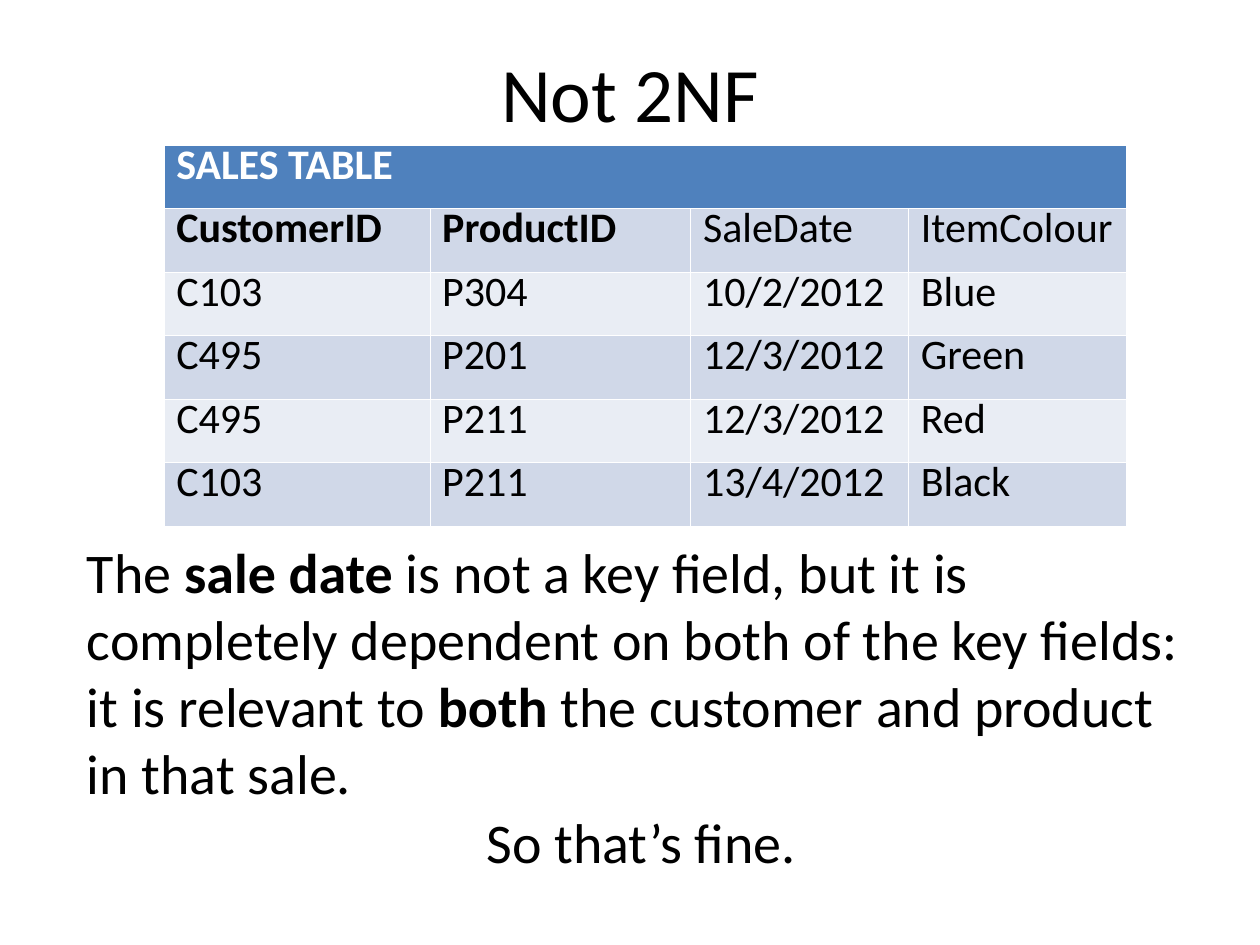
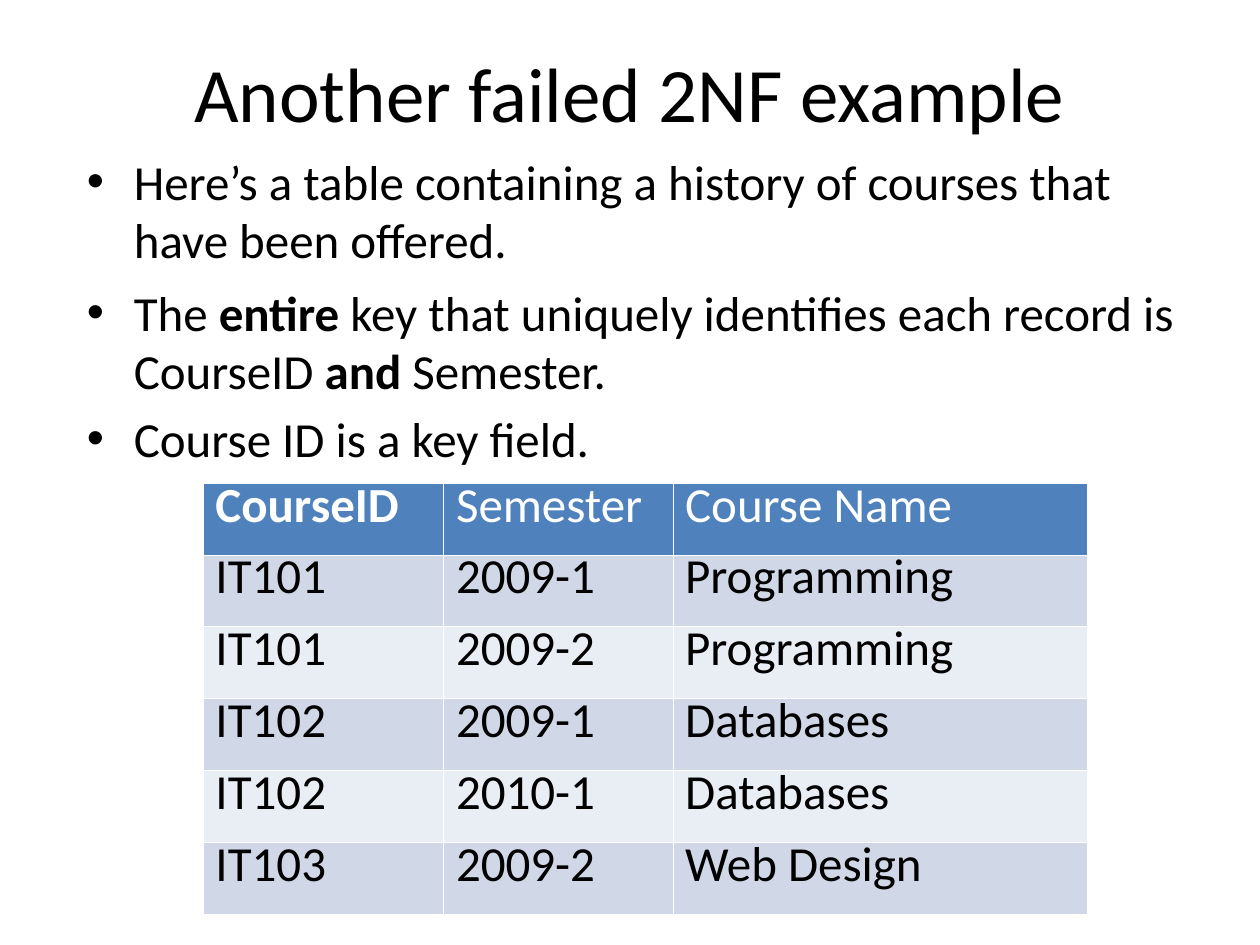
from lxml import etree
from pptx import Presentation
from pptx import util as u
from pptx.dml.color import RGBColor
from pptx.enum import text
from pptx.oxml import ns

FONT = "Calibri"
BLACK, WHITE = "000000", "FFFFFF"
HEADER_BLUE, BAND_DARK, BAND_LIGHT = "4F81BD", "D0D8E8", "E9EDF4"
TITLE_ONLY = 5
BODY_LEFT, CONTENT_TOP, CONTENT_WIDTH = 1.5, 2.92, 22.86
RULE_WIDTH = u.Pt(0.11)

SALES = [
    ["**SALES TABLE**"],
    ["**CustomerID**", "**ProductID**", "SaleDate", "ItemColour"],
    ["C103", "P304", "10/2/2012", "Blue"],
    ["C495", "P201", "12/3/2012", "Green"],
    ["C495", "P211", "12/3/2012", "Red"],
    ["C103", "P211", "13/4/2012", "Black"],
]
SALE_DATE_NOTE = (
    "The **sale date **is not a key field, but it is completely dependent on both "
    "of the key fields: it is relevant to **both** the customer and product in that sale."
)
COURSES = [
    ["**CourseID**", "Semester", "Course Name"],
    ["IT101", "2009-1", "Programming"],
    ["IT101", "2009-2", "Programming"],
    ["IT102", "2009-1", "Databases"],
    ["IT102", "2010-1", "Databases"],
    ["IT103", "2009-2", "Web Design"],
]
COURSE_POINTS = [
    ("Here’s a table containing a history of courses that have been offered.", 7.3),
    ("The **entire** key that uniquely identifies each record is "
     "CourseID **and** Semester.", 7.3),
    ("Course ID is a key field.", 4.8),
]


def color(hex_string):
    return RGBColor.from_string(hex_string)


def box(left, top, width, height):
    return [u.Cm(length) for length in (left, top, width, height)]


def write(paragraph, marked, size, ink=BLACK, before=0.3):
    paragraph.space_before, paragraph.space_after = u.Pt(before), u.Pt(0.3)
    for position, part in enumerate(marked.split("**")):
        if part:
            run = paragraph.add_run()
            run.text = part
            run.font.name = FONT
            run.font.size = u.Pt(size)
            run.font.bold = position % 2 == 1
            run.font.color.rgb = color(ink)


def add_bullet(paragraph):
    props = paragraph._p.get_or_add_pPr()
    props.set("marL", str(u.Cm(0.95)))
    props.set("indent", str(-u.Cm(0.95)))
    etree.SubElement(props, ns.qn("a:buFont")).set("typeface", "Arial")
    etree.SubElement(props, ns.qn("a:buChar")).set("char", "•")


def add_titled_slide(deck, heading):
    slide = deck.slides.add_slide(deck.slide_layouts[TITLE_ONLY])
    title = slide.shapes.title
    title.left, title.top, title.width, title.height = box(1.27, 0.76, CONTENT_WIDTH, 2.16)
    title.text_frame.vertical_anchor = text.MSO_ANCHOR.MIDDLE
    paragraph = title.text_frame.paragraphs[0]
    paragraph.alignment = text.PP_ALIGN.CENTER
    write(paragraph, heading, 44)
    return slide


def add_body(slide, top, height, count, anchor):
    frame = slide.shapes.add_textbox(*box(BODY_LEFT, top, CONTENT_WIDTH, height)).text_frame
    frame.word_wrap = True
    frame.vertical_anchor = anchor
    for _ in range(count - 1):
        frame.add_paragraph()
    return frame.paragraphs


def rule_cell(cell):
    props = cell._tc.get_or_add_tcPr()
    for side in ("lnL", "lnR", "lnT", "lnB"):
        line = etree.SubElement(props, ns.qn(f"a:{side}"), w=str(RULE_WIDTH))
        fill = etree.SubElement(line, ns.qn("a:solidFill"))
        etree.SubElement(fill, ns.qn("a:srgbClr"), val=WHITE)


def add_data_table(slide, records, left, top, column_widths, row_height, size):
    table = slide.shapes.add_table(
        len(records), len(column_widths),
        *box(left, top, sum(column_widths), row_height * len(records))).table
    table.first_row = table.horz_banding = False
    for column, width in zip(table.columns, column_widths):
        column.width = u.Cm(width)
    for index, record in enumerate(records):
        table.rows[index].height = u.Cm(row_height)
        band = BAND_DARK if index % 2 else BAND_LIGHT
        for cell in table.rows[index].cells:
            rule_cell(cell)
            cell.fill.solid()
            cell.fill.fore_color.rgb = color(band if index else HEADER_BLUE)
        for cell, value in zip(table.rows[index].cells, record):
            paragraph = cell.text_frame.paragraphs[0]
            paragraph.line_spacing = 0.69
            write(paragraph, value, size, BLACK if index else WHITE)
    return table


def build_sales_slide(deck):
    slide = add_titled_slide(deck, "Not 2NF")
    note, verdict = add_body(slide, 10.72, 7.01, 2, text.MSO_ANCHOR.MIDDLE)
    write(note, SALE_DATE_NOTE, 32)
    write(verdict, "So that’s fine.", 32)
    verdict.alignment = text.PP_ALIGN.CENTER
    sales = add_data_table(slide, SALES, 3.3, CONTENT_TOP, [5.36, 5.26, 4.39, 4.39], 1.28, 24)
    sales.cell(0, 0).merge(sales.cell(0, 3))


def build_courses_slide(deck):
    slide = add_titled_slide(deck, "Another failed 2NF example")
    points = add_body(slide, CONTENT_TOP, 6.81, len(COURSE_POINTS), text.MSO_ANCHOR.TOP)
    for paragraph, (point, before) in zip(points, COURSE_POINTS):
        write(paragraph, point, 28, before=before)
        add_bullet(paragraph)
    add_data_table(slide, COURSES, 4.09, 9.73, [4.85, 4.62, 8.36], 1.45, 28)


def main():
    deck = Presentation()
    deck.slide_width, deck.slide_height = u.Cm(25.4), u.Cm(19.05)
    build_sales_slide(deck)
    build_courses_slide(deck)
    deck.save("out.pptx")


if __name__ == "__main__":
    main()
